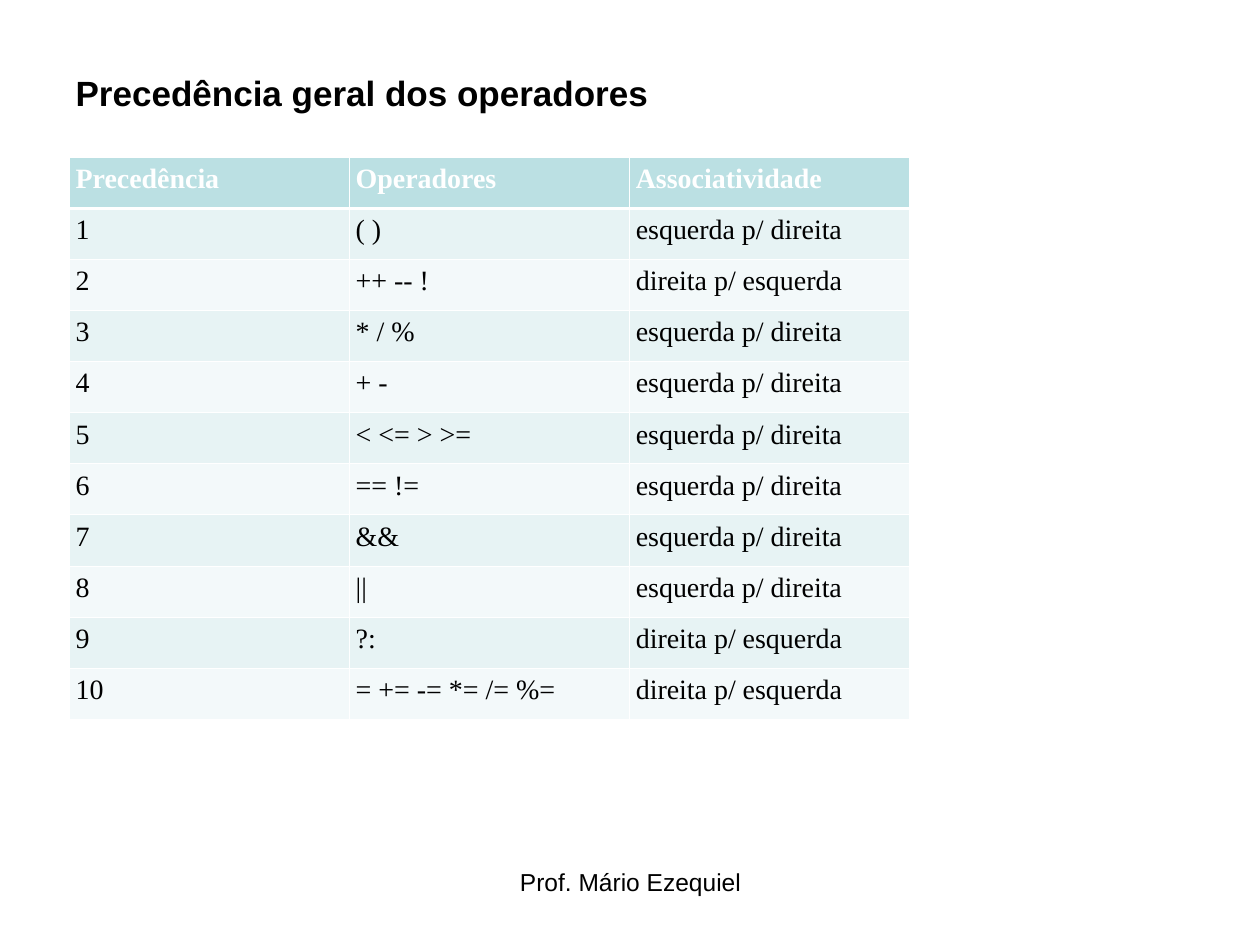
from lxml import etree
from pptx import Presentation
from pptx.dml.color import RGBColor
from pptx.enum.text import PP_ALIGN
from pptx.oxml.ns import qn
from pptx.util import Emu, Inches, Pt

CENTER = PP_ALIGN.CENTER
BLACK = RGBColor(0x00, 0x00, 0x00)
WHITE = RGBColor(0xFF, 0xFF, 0xFF)
HEADER_FILL = RGBColor(0xBB, 0xE0, 0xE3)
ODD_FILL = RGBColor(0xE7, 0xF3, 0xF4)
EVEN_FILL = RGBColor(0xF3, 0xF9, 0xFA)
THIN, THICK = Pt(0.45), Pt(1.47)
CELL_MARGIN = Inches(0.05)

HEADERS = ("Precedência", "Operadores", "Associatividade")
LEFT_TO_RIGHT = "esquerda p/ direita"
RIGHT_TO_LEFT = "direita p/ esquerda"
OPERATORS = (
    ("( )", LEFT_TO_RIGHT),
    ("++ -- !", RIGHT_TO_LEFT),
    ("* / %", LEFT_TO_RIGHT),
    ("+ -", LEFT_TO_RIGHT),
    ("< <= > >=", LEFT_TO_RIGHT),
    ("== !=", LEFT_TO_RIGHT),
    ("&&", LEFT_TO_RIGHT),
    ("||", LEFT_TO_RIGHT),
    ("?:", RIGHT_TO_LEFT),
    ("= += -= *= /= %=", RIGHT_TO_LEFT),
)


def set_text(tf, text, font, size, color, bold=False):
    """Write one formatted paragraph and return it."""
    tf.text = text
    p = tf.paragraphs[0]
    f = p.runs[0].font
    f.name, f.size, f.bold = font, Pt(size), bold
    f.color.rgb = color
    return p


def set_borders(cell, top, bottom):
    """Give a cell white borders with the given top and bottom widths."""
    tcPr = cell._tc.get_or_add_tcPr()
    widths = {"a:lnL": THIN, "a:lnR": THIN, "a:lnT": top, "a:lnB": bottom}
    for i, (tag, width) in enumerate(widths.items()):
        ln = etree.Element(qn(tag), w=str(int(width)))
        fill = etree.SubElement(ln, qn("a:solidFill"))
        etree.SubElement(fill, qn("a:srgbClr"), val=str(WHITE))
        tcPr.insert(i, ln)


def add_heading(s, left, top, width, height):
    """Place the heading in the body placeholder."""
    s.shapes.title.element.getparent().remove(s.shapes.title.element)
    body = s.placeholders[1]
    body.left, body.top, body.width, body.height = left, top, width, height
    p = set_text(body.text_frame, "Precedência geral dos operadores",
                 "Arial", 20, BLACK, bold=True)
    p.space_before = Pt(5)
    pPr = p._p.get_or_add_pPr()
    pPr.set("marL", str(Inches(0.38)))
    pPr.set("indent", str(Inches(-0.38)))
    etree.SubElement(pPr, qn("a:buNone"))


def add_precedence_table(s, left, top, width, height):
    """Place the operator table with equal rows and columns."""
    rows = [HEADERS] + [(str(n), *row) for n, row in enumerate(OPERATORS, 1)]
    table = s.shapes.add_table(
        len(rows), len(HEADERS), left, top, width, height).table
    for column in table.columns:
        column.width = Emu(width // len(HEADERS))
    for i, values in enumerate(rows):
        table.rows[i].height = Emu(height // len(rows))
        header = i == 0
        fill = HEADER_FILL if header else ODD_FILL if i % 2 else EVEN_FILL
        for j, value in enumerate(values):
            cell = table.cell(i, j)
            cell.margin_left = cell.margin_right = CELL_MARGIN
            cell.margin_top = cell.margin_bottom = CELL_MARGIN
            cell.fill.solid()
            cell.fill.fore_color.rgb = fill
            set_text(cell.text_frame, value, "Times New Roman", 16,
                     WHITE if header else BLACK, bold=header)
            set_borders(cell, THICK if i == 1 else THIN,
                        THICK if header else THIN)


def add_footer(s, left, top, width, height):
    """Place the centred author line."""
    tf = s.shapes.add_textbox(left, top, width, height).text_frame
    tf.word_wrap = True
    p = set_text(tf, "Prof. Mário Ezequiel", "Arial", 14, BLACK)
    p.alignment = CENTER


def main():
    """Build and save the slide."""
    prs = Presentation()
    prs.slide_width, prs.slide_height = Inches(10), Inches(7.5)
    s = prs.slides.add_slide(prs.slide_layouts[1])
    add_footer(s, Inches(3.42), Inches(6.83), Inches(3.17), Inches(0.52))
    add_heading(s, Inches(0.5), Inches(0.52), Inches(9), Inches(6.18))
    add_precedence_table(
        s, Inches(0.55), Inches(1.25), Inches(6.67), Inches(4.46))
    prs.save("out.pptx")


if __name__ == "__main__":
    main()
